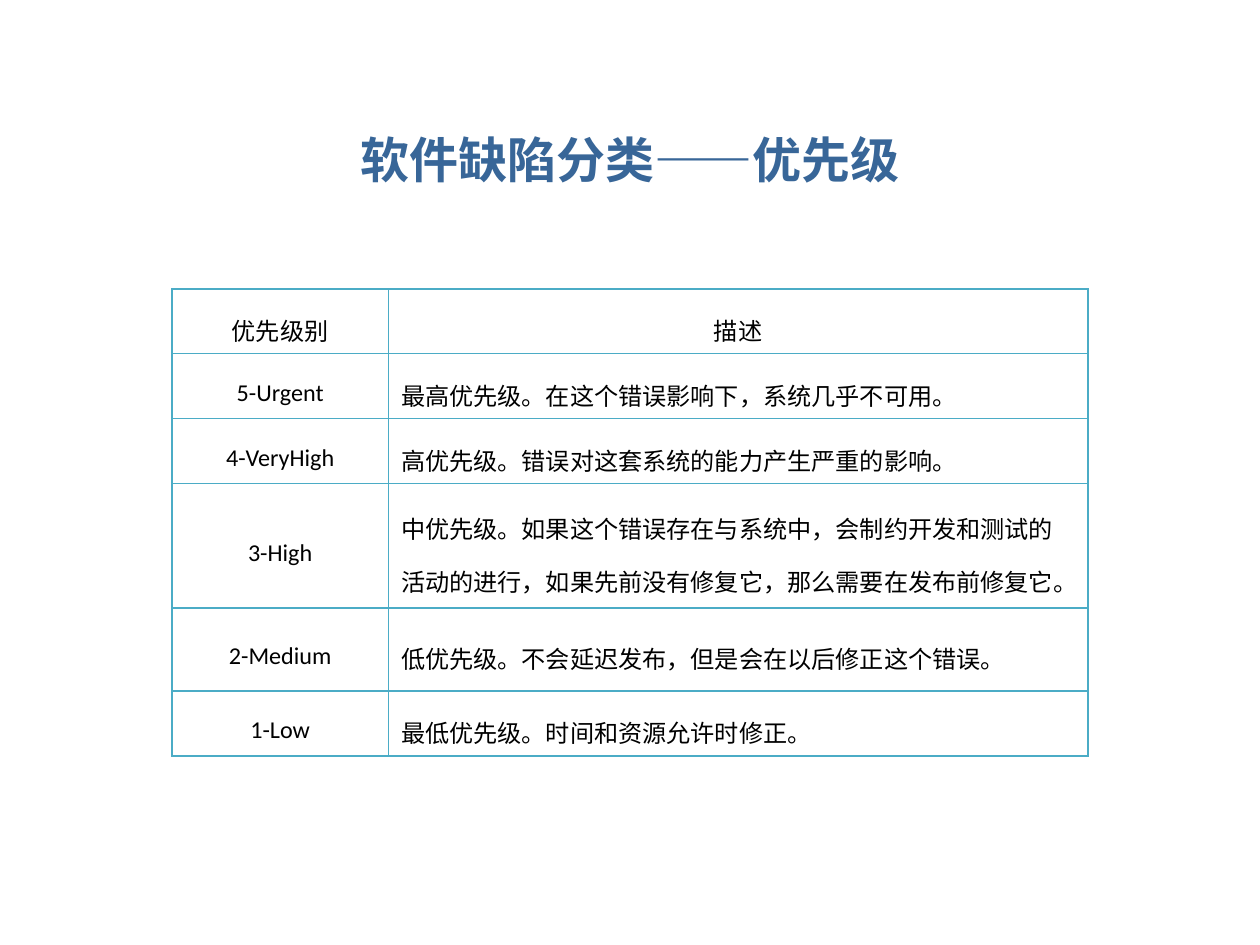
from pptx import Presentation
from pptx.dml.color import RGBColor
from pptx.enum.text import MSO_ANCHOR as Anchor, PP_ALIGN as Align
from pptx.oxml import parse_xml
from pptx.oxml.ns import nsdecls
from pptx.util import Pt

# Content
TITLE = "软件缺陷分类——优先级"
HEADER = ("优先级别", "描述")
PRIORITIES = [
    ("5-Urgent", "最高优先级。在这个错误影响下，系统几乎不可用。"),
    ("4-VeryHigh", "高优先级。错误对这套系统的能力产生严重的影响。"),
    ("3-High", "中优先级。如果这个错误存在与系统中，会制约开发和测试的活动的进行，"
               "如果先前没有修复它，那么需要在发布前修复它。"),
    ("2-Medium", "低优先级。不会延迟发布，但是会在以后修正这个错误。"),
    ("1-Low", "最低优先级。时间和资源允许时修正。"),
]

# Layout in points
TITLE_BOX = dict(left=36, top=68.4, width=648, height=44.6)
TABLE_LEFT, TABLE_TOP = 98.2, 165
COLUMN_WIDTHS = (123.8, 399.6)
ROW_HEIGHTS = (30.2, 30.2, 30.2, 71, 47.5, 30.2)
CELL_MARGINS = dict(margin_left=7.2, margin_right=7.2, margin_top=3.6, margin_bottom=3.6)

# Formats
BLUE = RGBColor(0x38, 0x66, 0x98)
TEAL = RGBColor(0x4B, 0xAC, 0xC6)
BLACK = RGBColor(0, 0, 0)
TITLE_FONT = dict(name="Cabin", size=Pt(28), bold=True)
CELL_FONT = dict(name="Calibri", size=Pt(13.8), bold=False)


def set_all(target, values):
    for name, value in values.items():
        setattr(target, name, value)


def set_points(target, values):
    set_all(target, {name: Pt(value) for name, value in values.items()})


def format_text(para, align, font, color):
    para.alignment = align
    set_all(para.font, font)
    para.font.color.rgb = color


def add_borders(cell, color, width):
    properties = cell._tc.get_or_add_tcPr()
    for side in ("lnL", "lnR", "lnT", "lnB"):
        properties.append(parse_xml(
            f'<a:{side} {nsdecls("a")} w="{Pt(width)}"><a:solidFill>'
            f'<a:srgbClr val="{color}"/></a:solidFill></a:{side}>'))


def fill_cell(cell, text, align):
    add_borders(cell, TEAL, 1)
    cell.fill.background()
    set_points(cell, CELL_MARGINS)
    cell.vertical_anchor = Anchor.MIDDLE
    cell.text = text
    para = cell.text_frame.paragraphs[0]
    para.line_spacing = 1.5
    format_text(para, align, CELL_FONT, BLACK)


def main():
    deck = Presentation()
    deck.slide_width, deck.slide_height = Pt(720), Pt(540)
    page = deck.slides.add_slide(deck.slide_layouts[5])

    # Title
    title = page.shapes.title
    set_points(title, TITLE_BOX)
    title.text_frame.text = TITLE
    title.text_frame.vertical_anchor = Anchor.MIDDLE
    format_text(title.text_frame.paragraphs[0], Align.CENTER, TITLE_FONT, BLUE)

    # Priority table
    rows = [HEADER] + PRIORITIES
    table = page.shapes.add_table(
        len(rows), len(HEADER), Pt(TABLE_LEFT), Pt(TABLE_TOP),
        Pt(sum(COLUMN_WIDTHS)), Pt(sum(ROW_HEIGHTS))).table
    set_all(table, dict(first_row=False, horz_banding=False))
    for column, width in zip(table.columns, COLUMN_WIDTHS):
        column.width = Pt(width)
    for row, height in zip(table.rows, ROW_HEIGHTS):
        row.height = Pt(height)
    for r, texts in enumerate(rows):
        for c, text in enumerate(texts):
            centred = r == 0 or c == 0
            fill_cell(table.cell(r, c), text, Align.CENTER if centred else Align.LEFT)

    deck.save("out.pptx")


if __name__ == "__main__":
    main()
